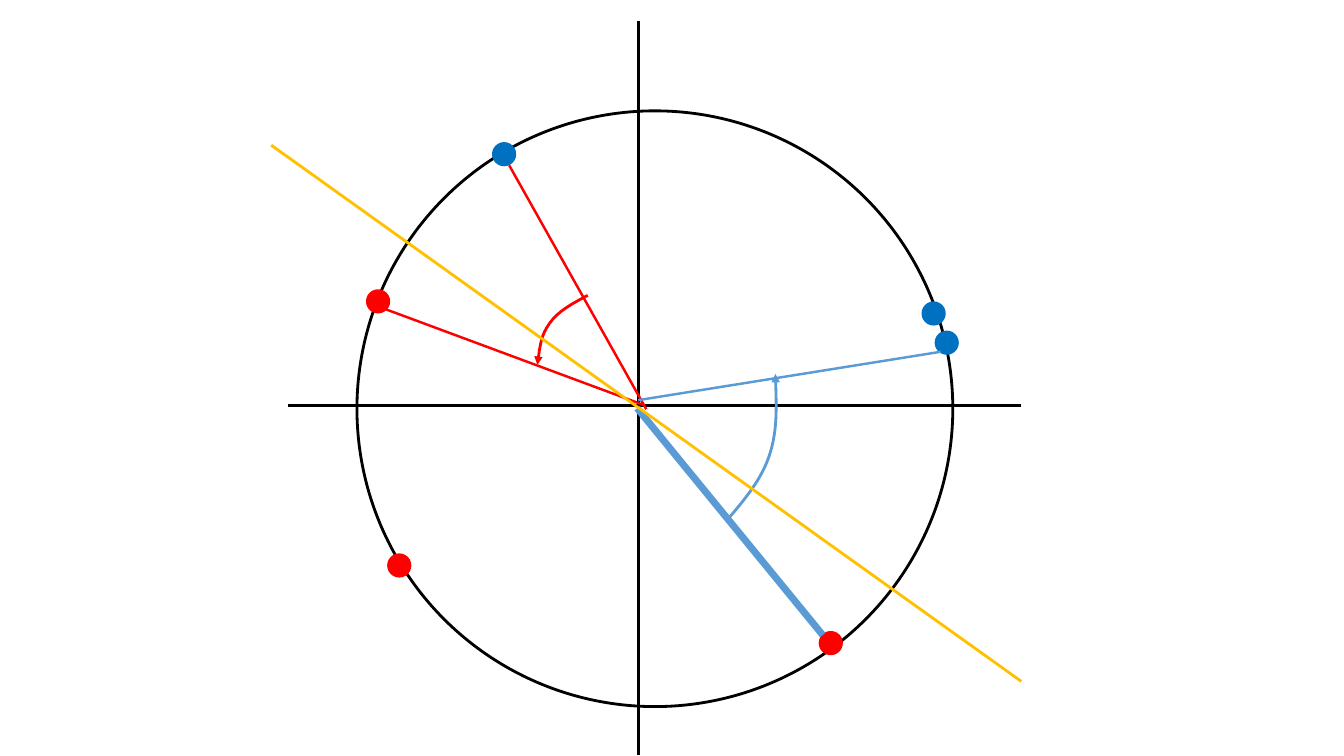
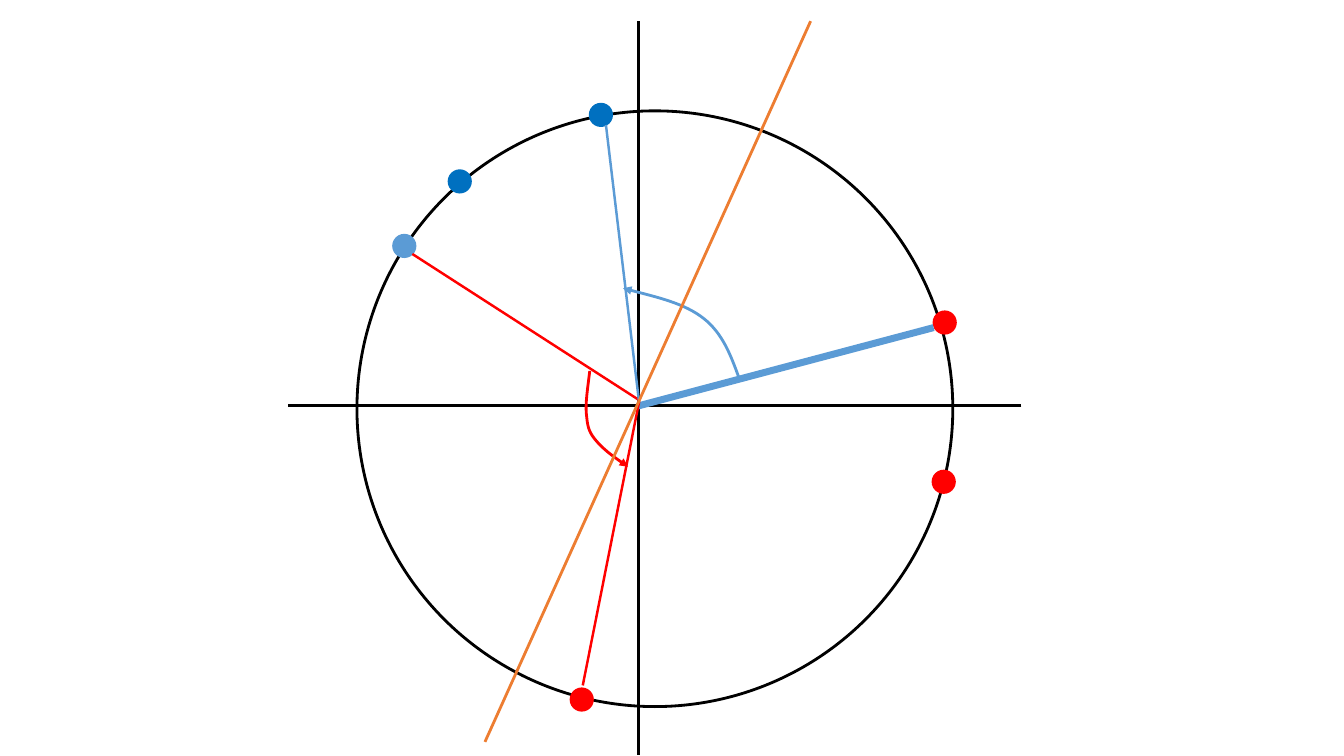
import pptx
import pptx.dml.color
import pptx.enum.shapes
import pptx.oxml.ns
import pptx.oxml.xmlchemy
import pptx.util
from pptx.util import Inches

BLACK, RED, BLUE, LIGHT_BLUE = "000000", "FF0000", "0070C0", "5B9BD5"
GOLD, ORANGE = "FFC000", "ED7D31"
DOT_SIZE = 0.24
THIN, MEDIUM, THICK = 1.75, 2, 5

DIAGRAMS = [
    {
        "dots": [(3.63, 2.87, RED), (8.12, 6.26, RED), (3.84, 5.49, RED),
                 (9.27, 3.28, BLUE), (4.88, 1.41, BLUE), (9.14, 2.99, BLUE)],
        "radii": [((6.41, 4.06), (5.05, 1.64), RED, THIN),
                  ((6.39, 4.02), (3.83, 3.07), RED, THIN),
                  ((9.33, 3.49), (6.33, 3.97), LIGHT_BLUE, THIN),
                  ((6.32, 4.05), (8.16, 6.3), LIGHT_BLUE, THICK)],
        "divider": ((2.69, 1.44), (10.13, 6.76), GOLD, MEDIUM),
        "arcs": [([(7.22, 5.15), (7.39, 4.95), (7.55, 4.76), (7.63, 4.52),
                   (7.71, 4.28), (7.7, 4), (7.69, 3.71)], LIGHT_BLUE),
                 ([(5.83, 2.93), (5.68, 3.01), (5.53, 3.09), (5.45, 3.21),
                   (5.37, 3.32), (5.35, 3.47), (5.33, 3.62)], RED)],
    },
    {
        "dots": [(3.89, 2.32, LIGHT_BLUE), (9.24, 4.66, RED), (9.25, 3.08, RED),
                 (4.44, 1.68, BLUE), (5.84, 1.02, BLUE), (5.65, 6.82, RED)],
        "radii": [((9.26, 3.25), (6.32, 4.03), LIGHT_BLUE, THICK),
                  ((6.34, 3.97), (4.09, 2.52), RED, THIN),
                  ((6.01, 1.24), (6.34, 4), LIGHT_BLUE, THIN),
                  ((6.34, 3.98), (5.78, 6.8), RED, THIN)],
        "divider": ((8.04, 0.21), (4.81, 7.36), ORANGE, MEDIUM),
        "arcs": [([(7.33, 3.75), (7.25, 3.53), (7.17, 3.31), (6.98, 3.16),
                   (6.79, 3.01), (6.48, 2.94), (6.18, 2.86)], LIGHT_BLUE),
                 ([(5.85, 3.68), (5.83, 3.85), (5.8, 4.02), (5.82, 4.14),
                   (5.83, 4.25), (5.85, 4.3), (5.92, 4.38),
                   (5.99, 4.46), (6.11, 4.55), (6.23, 4.63)], RED)],
    },
]


def set_color(color_format, color):
    color_format.rgb = pptx.dml.color.RGBColor.from_string(color)


def set_line(shape, color, width):
    set_color(shape.line.color, color)
    shape.line.width = pptx.util.Pt(width)


def add_child(parent, tag, **attributes):
    child = pptx.oxml.xmlchemy.OxmlElement(tag)
    for name, value in attributes.items():
        child.set(name, value)
    parent.append(child)
    return child


def add_circle(slide, left, top, size):
    circle = slide.shapes.add_shape(
        pptx.enum.shapes.MSO_SHAPE.OVAL,
        Inches(left), Inches(top), Inches(size), Inches(size))
    circle.shadow.inherit = False
    return circle


def add_dot(slide, left, top, color):
    dot = add_circle(slide, left, top, DOT_SIZE)
    dot.fill.solid()
    set_color(dot.fill.fore_color, color)
    dot.line.fill.background()


def add_line(shapes, start, end, color, width):
    line = shapes.add_connector(
        pptx.enum.shapes.MSO_CONNECTOR.STRAIGHT,
        Inches(start[0]), Inches(start[1]), Inches(end[0]), Inches(end[1]))
    set_line(line, color, width)
    add_child(line._element.spPr, "a:effectLst")


def add_arc_arrow(slide, points, color):
    start, *rest = [(Inches(x), Inches(y)) for x, y in points]
    builder = slide.shapes.build_freeform(*start)
    builder.add_line_segments(rest, close=False)
    arc = builder.convert_to_shape()
    arc.shadow.inherit = False
    arc.fill.background()
    set_line(arc, color, MEDIUM)
    segments = list(arc._element.iter(pptx.oxml.ns.qn("a:lnTo")))
    for index in range(0, len(segments), 3):
        curve = add_child(segments[index].getparent(), "a:cubicBezTo")
        for segment in segments[index:index + 3]:
            curve.append(segment[0])
            segment.getparent().remove(segment)
    outline = arc._element.spPr.find(pptx.oxml.ns.qn("a:ln"))
    add_child(outline, "a:tailEnd", type="triangle")


def add_axes(slide):
    axes = slide.shapes.add_group_shape()
    add_line(axes.shapes, (6.33, 7.49), (6.33, 0.21), BLACK, MEDIUM)
    add_line(axes.shapes, (10.13, 4.02), (2.86, 4.02), BLACK, MEDIUM)


def add_diagram(slide, diagram):
    ring = add_circle(slide, 3.54, 1.1, 5.91)
    ring.fill.background()
    set_line(ring, BLACK, MEDIUM)
    for dot in diagram["dots"]:
        add_dot(slide, *dot)
    add_axes(slide)
    for radius in diagram["radii"]:
        add_line(slide.shapes, *radius)
    for arc in diagram["arcs"]:
        add_arc_arrow(slide, *arc)
    add_line(slide.shapes, *diagram["divider"])


def main():
    presentation = pptx.Presentation()
    presentation.slide_width = Inches(13.33)
    presentation.slide_height = Inches(7.5)
    blank_layout = presentation.slide_layouts[6]
    for diagram in DIAGRAMS:
        add_diagram(presentation.slides.add_slide(blank_layout), diagram)
    presentation.save("out.pptx")


main()
